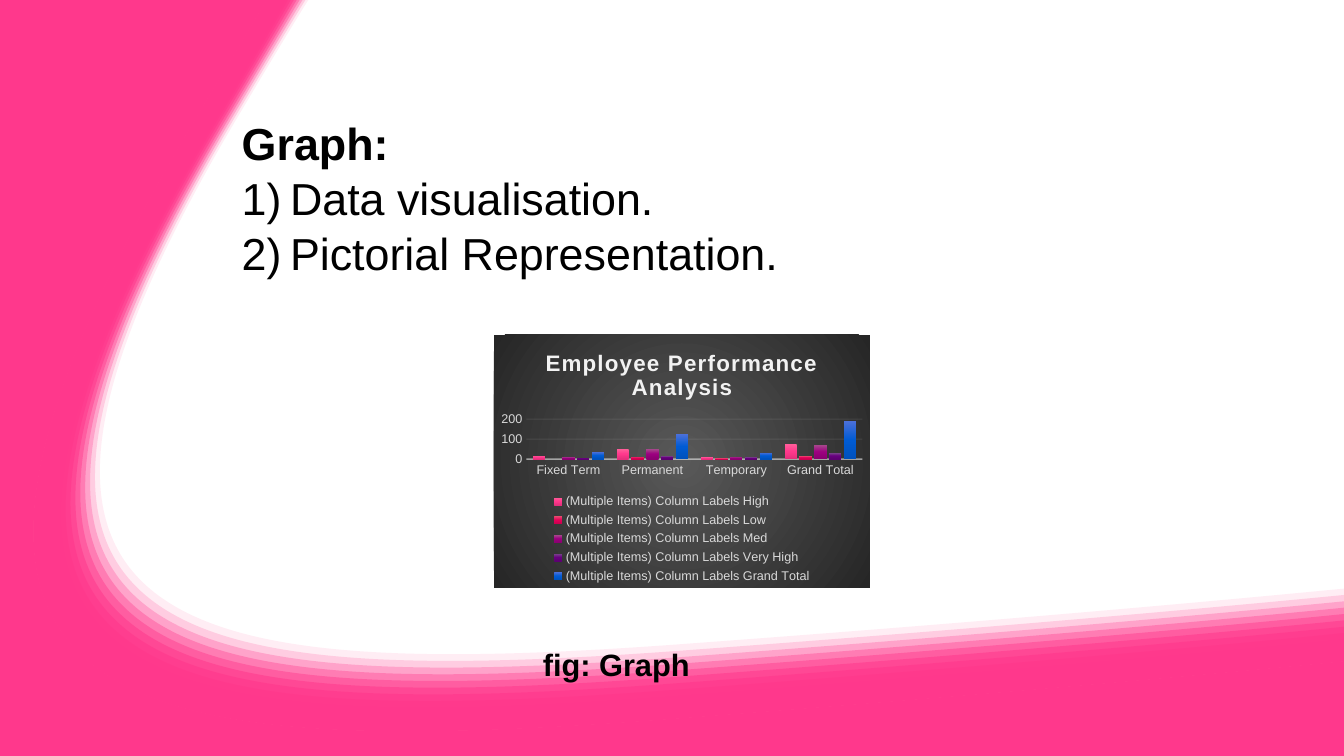
"""Build a slide with a layered pink frame, a numbered list and a column chart."""
import lxml.etree
import pptx
import pptx.chart.data
import pptx.dml.color
import pptx.enum.chart
import pptx.enum.text
import pptx.oxml.ns
import pptx.util

COLOURS = {"pink": "FF388C", "black": "000000", "label": "D9D9D9", "pale": "F2F2F2"}
PANEL_STOPS = ["595959", "262626"]
SERIES = [
    ("High", [17, 48, 9, 74], ["FF5C99", "FF388C", "E52F7C"]),
    ("Low", [None, 11, 3, 14], ["EA4B6F", "E40059", "CB004F"]),
    ("Med", [10, 50, 11, 71], ["A74B8D", "9C007F", "8B0071"]),
    ("Very High", [7, 15, 9, 31], ["7A4B8D", "68007F", "5C0071"]),
    ("Grand Total", [34, 124, 32, 190], ["4B70DA", "005BD3", "0051BC"]),
]
WIDTH, HEIGHT = 960, 540
FRAME_EDGE = [(960, 472.3), (960, 472.3), (774, 491), (471.6, 514.1), (76.3, 543.6),
              (-116.6, 512.6), (141.1, 82.8), (172.8, 29.5), (190.8, 0), (190.8, 0)]
FAINT_EDGE = [(960, 420.5), (958.3, 420.5), (781.2, 438.5), (496.8, 459.4), (115.9, 488.2),
              (-52.6, 455), (172.8, 78.5), (202.3, 28.8), (219.6, 0.7), (220.3, 0)]
SOLID_EDGE = [(960, 465.8), (935.3, 468.7), (754.6, 486), (478.1, 506.9), (87.8, 536.4),
              (-102.2, 506.2), (151.9, 82.1), (178.6, 37.4), (195.1, 7.9), (199.4, 0)]
BAND_COUNT = 11


def rgb(colour):
    """Return the colour object for a hex string."""
    return pptx.dml.color.RGBColor.from_string(colour)


def add_element(parent, tag, **attributes):
    """Append a child such as a:alpha with the given attributes."""
    child = lxml.etree.SubElement(parent, pptx.oxml.ns.qn(tag))
    for name, value in attributes.items():
        child.set(name, str(value))
    return child


def set_opacity(colour_elements, percent):
    """Make each colour element partly transparent."""
    for element in colour_elements:
        add_element(element, "a:alpha", val=round(percent * 1000))


def add_gradient(properties, stops, circular=False):
    """Fill shape properties with evenly spaced gradient stops."""
    gradient = add_element(properties, "a:gradFill", rotWithShape=1)
    stop_list = add_element(gradient, "a:gsLst")
    for index, colour in enumerate(stops):
        stop = add_element(stop_list, "a:gs", pos=index * 100000 // (len(stops) - 1))
        add_element(stop, "a:srgbClr", val=colour)
    if circular:
        shade = add_element(gradient, "a:path", path="circle")
        add_element(shade, "a:fillToRect", l=50000, t=50000, r=50000, b=50000)
    else:
        add_element(gradient, "a:lin", ang=5400000, scaled=0)


def add_command(contour, tag, points):
    """Append one drawing command with its points."""
    command = add_element(contour, tag)
    for x, y in points:
        add_element(command, "a:pt", x=pptx.util.Pt(x), y=pptx.util.Pt(y))


def blend(first, second, share):
    """Return control points between two edges."""
    return [(x + (p - x) * share, y + (q - y) * share)
            for (x, y), (p, q) in zip(first, second)]


def write(paragraph, text, size=32, colour=COLOURS["black"], bold=False, spacing=0):
    """Add formatted text to a paragraph."""
    run = paragraph.add_run()
    run.text = text
    font = run.font
    font.name, font.size, font.bold = "Arial", pptx.util.Pt(size), bold
    font.color.rgb = rgb(colour)
    if spacing:
        run._r.get_or_add_rPr().set("spc", str(spacing))


class SlideBuilder:
    """Hold the slide and draw each kind of element on it."""

    def __init__(self, slide):
        """Keep the current slide."""
        self.slide = slide

    def outline(self, edges, opacity=100):
        """Draw a pink outline whose edges are chains of cubic curves or single points."""
        right, bottom = pptx.util.Pt(WIDTH), pptx.util.Pt(HEIGHT)
        builder = self.slide.shapes.build_freeform(0, 0, scale=1.0)
        builder.add_line_segments([(right, 0), (right, bottom), (0, bottom)], close=True)
        shape = builder.convert_to_shape()
        contour = shape._element.xpath(".//a:pathLst/a:path")[0]
        for command in list(contour):
            contour.remove(command)
        for index, edge in enumerate(edges):
            add_command(contour, "a:lnTo" if index else "a:moveTo", edge[:1])
            for start in range(1, len(edge), 3):
                add_command(contour, "a:cubicBezTo", edge[start:start + 3])
        add_element(contour, "a:close")
        shape.shadow.inherit = False
        shape.fill.solid()
        shape.fill.fore_color.rgb = rgb(COLOURS["pink"])
        shape.line.fill.background()
        if opacity < 100:
            set_opacity(shape._element.spPr.xpath("a:solidFill/a:srgbClr"), opacity)

    def text_box(self, left, top, width, height, anchor):
        """Add a wrapping text box and return its frame."""
        box = self.slide.shapes.add_textbox(*map(pptx.util.Pt, (left, top, width, height)))
        box.text_frame.word_wrap = True
        box.text_frame.vertical_anchor = anchor
        return box.text_frame

    def numbered(self, paragraph, text):
        """Write a numbered list item."""
        write(paragraph, text)
        paragraph.space_before = pptx.util.Pt(1)
        properties = paragraph._p.get_or_add_pPr()
        indent = pptx.util.Pt(34.5)
        properties.set("marL", str(indent))
        properties.set("indent", str(-indent))
        add_element(properties, "a:buFont", typeface="Arial")
        add_element(properties, "a:buAutoNum", type="arabicParenR")

    def column_chart(self, left, top, width, height):
        """Draw the employee chart on its dark panel."""
        data = pptx.chart.data.CategoryChartData()
        data.categories = ["Fixed Term", "Permanent", "Temporary", "Grand Total"]
        for name, values, _ in SERIES:
            data.add_series(f"(Multiple Items) Column Labels {name}", values)
        chart = self.slide.shapes.add_chart(
            pptx.enum.chart.XL_CHART_TYPE.COLUMN_CLUSTERED,
            *map(pptx.util.Pt, (left, top, width, height)), data).chart
        panel = lxml.etree.Element(pptx.oxml.ns.qn("c:spPr"))
        add_gradient(panel, PANEL_STOPS, circular=True)
        add_element(add_element(panel, "a:ln"), "a:noFill")
        chart.element.find(pptx.oxml.ns.qn("c:chart")).addnext(panel)
        chart.has_title = True
        write(chart.chart_title.text_frame.paragraphs[0], "Employee Performance Analysis",
              size=16, colour=COLOURS["pale"], bold=True, spacing=100)
        chart.chart_title.include_in_layout = False
        chart.has_legend = True
        chart.legend.position = pptx.enum.chart.XL_LEGEND_POSITION.BOTTOM
        chart.legend.include_in_layout = False
        category, value = chart.category_axis, chart.value_axis
        for font in (chart.font, chart.legend.font,
                     category.tick_labels.font, value.tick_labels.font):
            font.name, font.size = "Arial", pptx.util.Pt(9)
            font.color.rgb = rgb(COLOURS["label"])
        for axis in (category, value):
            axis.major_tick_mark = axis.minor_tick_mark = pptx.enum.chart.XL_TICK_MARK.NONE
        value.minimum_scale, value.maximum_scale, value.major_unit = 0, 200, 100
        value.format.line.fill.background()
        for part, weight, opacity, tag in (
                (category, 1, 54, "c:catAx/c:spPr"),
                (value.major_gridlines, 0.75, 10, "c:valAx/c:majorGridlines")):
            part.format.line.width = pptx.util.Pt(weight)
            part.format.line.color.rgb = rgb(COLOURS["pale"])
            set_opacity(chart.element.xpath(f".//{tag}//a:srgbClr"), opacity)
        plot = chart.plots[0]
        plot.gap_width, plot.overlap, plot.vary_by_categories = 100, -22, False
        for series, (_, _, stops) in zip(plot.series, SERIES):
            series.invert_if_negative = False
            add_gradient(series._element.get_or_add_spPr(), stops)


def main():
    """Build and save the slide."""
    presentation = pptx.Presentation()
    presentation.slide_width = pptx.util.Pt(WIDTH)
    presentation.slide_height = pptx.util.Pt(HEIGHT)
    builder = SlideBuilder(presentation.slides.add_slide(presentation.slide_layouts[6]))
    builder.outline([FRAME_EDGE, [(0, 0)], [(0, HEIGHT)], [(WIDTH, HEIGHT)]])
    for band in range(BAND_COUNT):
        edge = blend(FAINT_EDGE, SOLID_EDGE, band / (BAND_COUNT - 1))
        builder.outline([edge, FRAME_EDGE[::-1]], 100 * (band + 1) / BAND_COUNT)
    caption = builder.text_box(378.7, 447, 121, 54.7, pptx.enum.text.MSO_ANCHOR.MIDDLE)
    caption.paragraphs[0].alignment = pptx.enum.text.PP_ALIGN.RIGHT
    write(caption.paragraphs[0], "fig: Graph", size=22, bold=True)
    body = builder.text_box(165.6, 79.2, 787, 356.4, pptx.enum.text.MSO_ANCHOR.TOP)
    write(body.paragraphs[0], "Graph:", bold=True)
    for item in ("Data visualisation.", "Pictorial Representation."):
        builder.numbered(body.add_paragraph(), item)
    builder.column_chart(352.8, 239, 268.6, 180.7)
    presentation.save("out.pptx")


if __name__ == "__main__":
    main()
